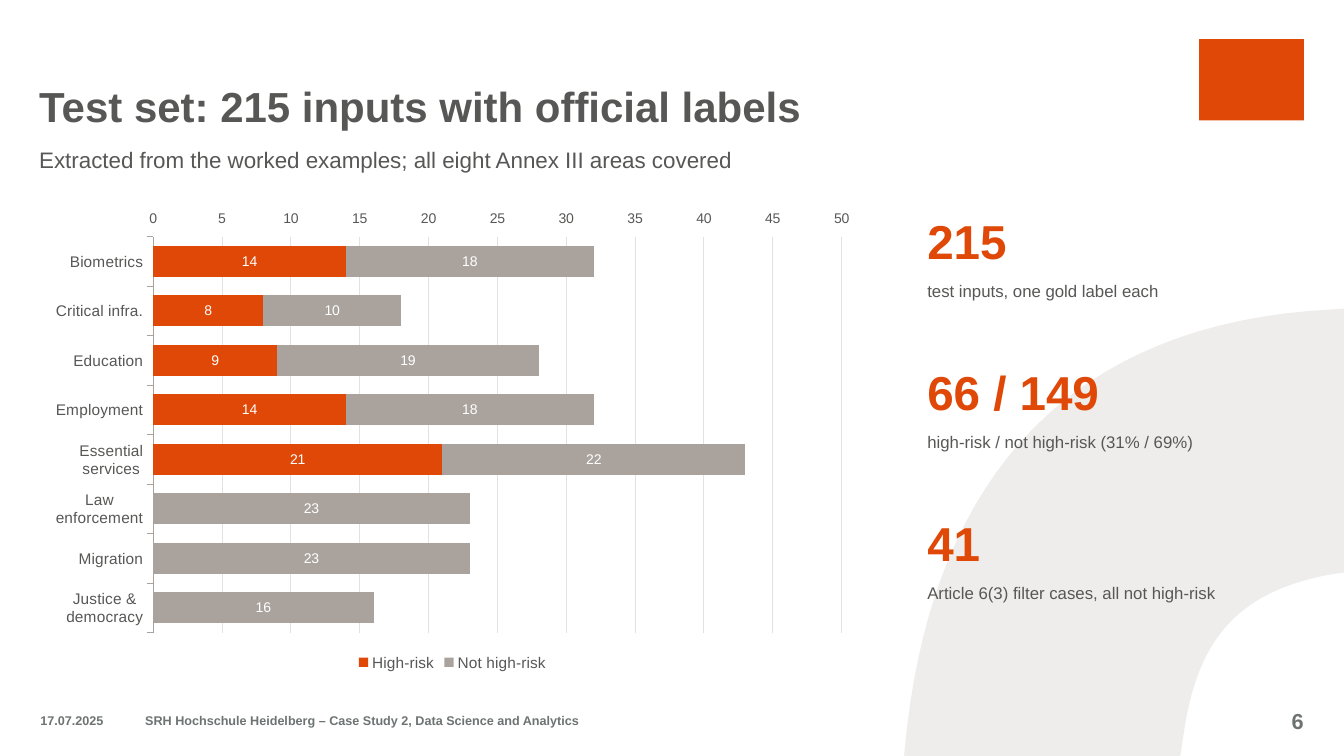
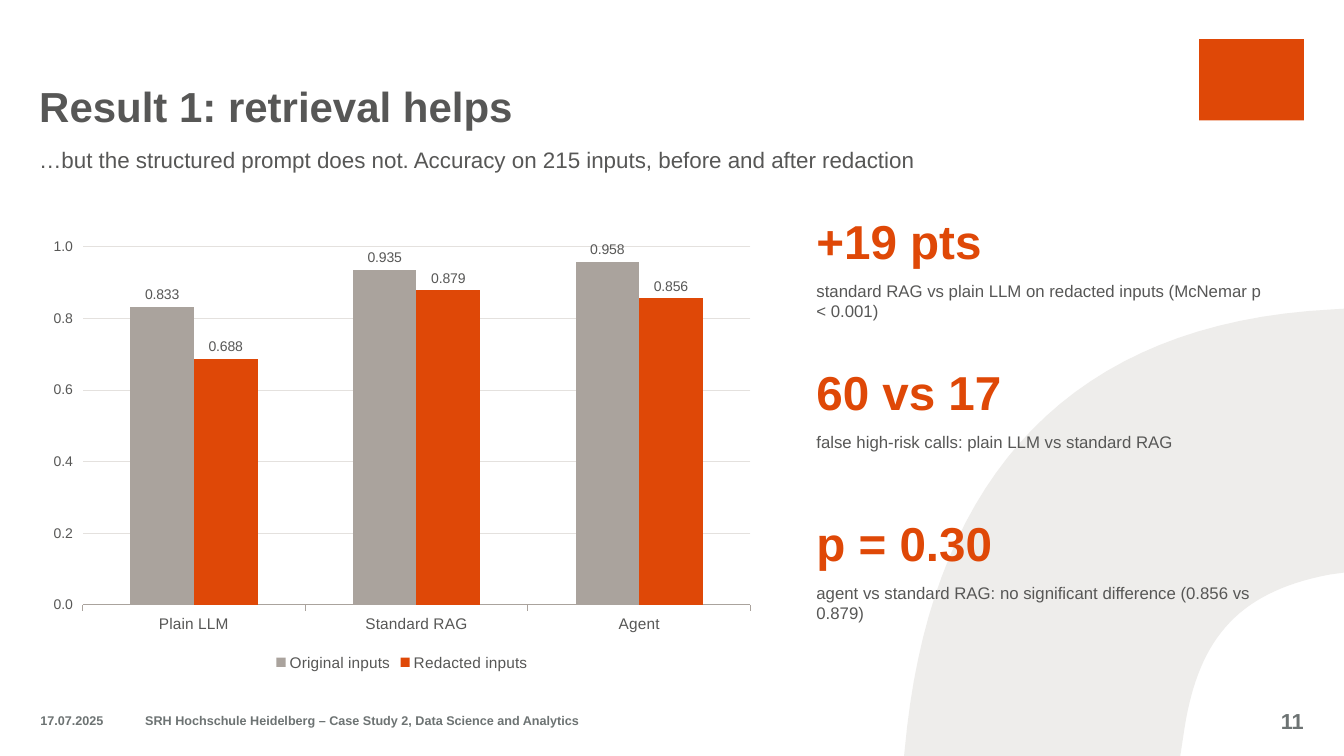
from dataclasses import dataclass
from typing import Optional

from pptx import Presentation
from pptx.chart.data import CategoryChartData
from pptx.dml.color import RGBColor
from pptx.enum.chart import XL_CHART_TYPE, XL_LABEL_POSITION, XL_LEGEND_POSITION, XL_TICK_MARK
from pptx.enum.shapes import MSO_SHAPE
from pptx.enum.text import MSO_ANCHOR, PP_ALIGN
from pptx.util import Pt

FONT = "Arial"
ORANGE = RGBColor(0xDF, 0x48, 0x07)
TAUPE = RGBColor(0xAA, 0xA3, 0x9D)
GRID = RGBColor(0xE4, 0xE1, 0xDE)
ARC = RGBColor(0xEE, 0xED, 0xEB)
TEXT = RGBColor(0x57, 0x57, 0x56)
FOOTER = RGBColor(0x6D, 0x73, 0x73)
WHITE = RGBColor(0xFF, 0xFF, 0xFF)

W, H = 960, 540
LEFT = 28
CHART_TOP, CHART_H = 144, 338.4
STAT_TOP, STAT_STEP, CAPTION_DROP = 151.2, 108, 49
DATE = "17.07.2025"
FOOTER_TEXT = "SRH Hochschule Heidelberg – Case Study 2, Data Science and Analytics"


@dataclass
class Series:
    name: str
    values: tuple[float, ...]
    color: RGBColor


@dataclass
class ChartSpec:
    kind: XL_CHART_TYPE
    width: float
    categories: tuple[str, ...]
    series: tuple[Series, ...]
    gap: int
    overlap: int
    label_format: str
    label_pos: XL_LABEL_POSITION
    label_color: RGBColor
    axis_format: str
    axis_max: float
    axis_step: float
    reverse: bool = False


@dataclass
class Stat:
    figure: str
    caption: str


@dataclass
class SlideSpec:
    number: int
    title: str
    subtitle: str
    chart: ChartSpec
    stat_left: float
    stat_width: float
    stats: tuple[Stat, ...]


def set_font(font, size: float, color: RGBColor = TEXT, bold: Optional[bool] = None) -> None:
    font.name, font.size, font.bold = FONT, Pt(size), bold
    font.color.rgb = color


def add_text(s, text: str, x: float, y: float, w: float, h: float, *, size: float,
             color: RGBColor = TEXT, bold: bool = False, align=PP_ALIGN.LEFT,
             anchor=MSO_ANCHOR.TOP) -> None:
    tf = s.shapes.add_textbox(Pt(x), Pt(y), Pt(w), Pt(h)).text_frame
    tf.word_wrap = True
    tf.margin_left = tf.margin_right = tf.margin_top = tf.margin_bottom = 0
    tf.vertical_anchor = anchor
    p = tf.paragraphs[0]
    p.alignment = align
    r = p.add_run()
    r.text = text
    set_font(r.font, size, color, bold)


def fill_shape(sp, color: RGBColor) -> None:
    sp.shadow.inherit = False
    sp.fill.solid()
    sp.fill.fore_color.rgb = color
    sp.line.fill.background()


def curve(*ctrl: tuple[float, float], steps: int = 32) -> list[tuple[int, int]]:
    """Points along a cubic Bezier curve, without its start."""
    points = []
    for i in range(1, steps + 1):
        t = i / steps
        weights = ((1 - t) ** 3, 3 * t * (1 - t) ** 2, 3 * t * t * (1 - t), t ** 3)
        points.append(tuple(Pt(sum(k * c[axis] for k, c in zip(weights, ctrl)))
                            for axis in (0, 1)))
    return points


def add_arc(s) -> None:
    inner = curve((949.7, 410.4), (881.3, 423.4), (854.6, 459.4), (845.3, 525.6))
    outer = curve((648, 519.1), (668.9, 340.6), (764.6, 230.4), (951.8, 221))
    corners = [(W, 409), (949.7, 410.4)]
    base = [(843.1, H), (645.8, H), (648, 519.1)]
    fb = s.shapes.build_freeform(Pt(W), Pt(220.5), scale=1.0)
    fb.add_line_segments([(Pt(x), Pt(y)) for x, y in corners] + inner
                         + [(Pt(x), Pt(y)) for x, y in base] + outer, close=True)
    fill_shape(fb.convert_to_shape(), ARC)


def add_frame(s, spec: SlideSpec) -> None:
    # Brand block and background arc
    block = s.shapes.add_shape(MSO_SHAPE.RECTANGLE, Pt(856.5), Pt(28), Pt(75), Pt(58))
    fill_shape(block, ORANGE)
    add_arc(s)
    # Title and subtitle
    add_text(s, spec.title, LEFT, 28, 721, 65.5, size=30, bold=True, anchor=MSO_ANCHOR.BOTTOM)
    add_text(s, spec.subtitle, LEFT, 104.4, 864, 28.8, size=16)
    # Footer
    for text, x, w, size, align in (
        (DATE, 28.8, 69, 9, PP_ALIGN.LEFT),
        (FOOTER_TEXT, 103.7, 511, 9, PP_ALIGN.LEFT),
        (str(spec.number), 878, 53.3, 15.5, PP_ALIGN.RIGHT),
    ):
        add_text(s, text, x, 500.6, w, 28.8, size=size, color=FOOTER, bold=True,
                 align=align, anchor=MSO_ANCHOR.MIDDLE)


def add_bars(s, spec: ChartSpec) -> None:
    data = CategoryChartData()
    data.categories = spec.categories
    for item in spec.series:
        data.add_series(item.name, item.values)
    chart = s.shapes.add_chart(spec.kind, Pt(LEFT), Pt(CHART_TOP), Pt(spec.width),
                               Pt(CHART_H), data).chart
    set_font(chart.font, 11)
    chart.has_title = False
    chart.has_legend = True
    chart.legend.position = XL_LEGEND_POSITION.BOTTOM
    chart.legend.include_in_layout = False
    set_font(chart.legend.font, 11)

    # Axes
    cat, val = chart.category_axis, chart.value_axis
    cat.reverse_order = spec.reverse
    cat.major_tick_mark = val.major_tick_mark = XL_TICK_MARK.OUTSIDE
    cat.format.line.color.rgb = TAUPE
    cat.format.line.width = Pt(0.75)
    set_font(cat.tick_labels.font, 11)
    set_font(val.tick_labels.font, 10)
    val.tick_labels.number_format = spec.axis_format
    val.tick_labels.number_format_is_linked = False
    val.minimum_scale, val.maximum_scale, val.major_unit = 0, spec.axis_max, spec.axis_step
    val.format.line.fill.background()
    val.has_major_gridlines = True
    val.major_gridlines.format.line.color.rgb = GRID
    val.major_gridlines.format.line.width = Pt(0.75)

    # Bars and their labels
    plot = chart.plots[0]
    plot.vary_by_categories = False
    plot.gap_width, plot.overlap = spec.gap, spec.overlap
    for series, item in zip(plot.series, spec.series):
        series.invert_if_negative = False
        series.format.fill.solid()
        series.format.fill.fore_color.rgb = item.color
        labels = series.data_labels
        labels.show_value = True
        labels.number_format = spec.label_format
        labels.number_format_is_linked = False
        labels.position = spec.label_pos
        set_font(labels.font, 10, spec.label_color)


def add_stats(s, spec: SlideSpec) -> None:
    for i, stat in enumerate(spec.stats):
        y = STAT_TOP + i * STAT_STEP
        add_text(s, stat.figure, spec.stat_left, y, spec.stat_width, 46.8, size=34,
                 color=ORANGE, bold=True)
        add_text(s, stat.caption, spec.stat_left, y + CAPTION_DROP, spec.stat_width, 54, size=12)


SLIDES = (
    SlideSpec(
        6, "Test set: 215 inputs with official labels",
        "Extracted from the worked examples; all eight Annex III areas covered",
        ChartSpec(
            XL_CHART_TYPE.BAR_STACKED, 590.4,
            ("Biometrics", "Critical infra.", "Education", "Employment", "Essential services",
             "Law enforcement", "Migration", "Justice & democracy"),
            (Series("High-risk", (14, 8, 9, 14, 21, 0, 0, 0), ORANGE),
             Series("Not high-risk", (18, 10, 19, 18, 22, 23, 23, 16), TAUPE)),
            gap=60, overlap=100, label_format="0;;;", label_pos=XL_LABEL_POSITION.CENTER,
            label_color=WHITE, axis_format="General", axis_max=50, axis_step=5, reverse=True),
        662.4, 244.8,
        (Stat("215", "test inputs, one gold label each"),
         Stat("66 / 149", "high-risk / not high-risk (31% / 69%)"),
         Stat("41", "Article 6(3) filter cases, all not high-risk")),
    ),
    SlideSpec(
        11, "Result 1: retrieval helps",
        "…but the structured prompt does not. Accuracy on 215 inputs, before and after redaction",
        ChartSpec(
            XL_CHART_TYPE.COLUMN_CLUSTERED, 518.4,
            ("Plain LLM", "Standard RAG", "Agent"),
            (Series("Original inputs", (0.833, 0.935, 0.958), TAUPE),
             Series("Redacted inputs", (0.688, 0.879, 0.856), ORANGE)),
            gap=150, overlap=0, label_format="0.000", label_pos=XL_LABEL_POSITION.OUTSIDE_END,
            label_color=TEXT, axis_format="0.0", axis_max=1.1, axis_step=0.2),
        583.2, 324,
        (Stat("+19 pts", "standard RAG vs plain LLM on redacted inputs (McNemar p < 0.001)"),
         Stat("60 vs 17", "false high-risk calls: plain LLM vs standard RAG"),
         Stat("p = 0.30", "agent vs standard RAG: no significant difference (0.856 vs 0.879)")),
    ),
)


def main() -> None:
    prs = Presentation()
    prs.slide_width, prs.slide_height = Pt(W), Pt(H)
    for spec in SLIDES:
        s = prs.slides.add_slide(prs.slide_layouts[6])
        add_frame(s, spec)
        add_bars(s, spec.chart)
        add_stats(s, spec)
    prs.save("out.pptx")


if __name__ == "__main__":
    main()
